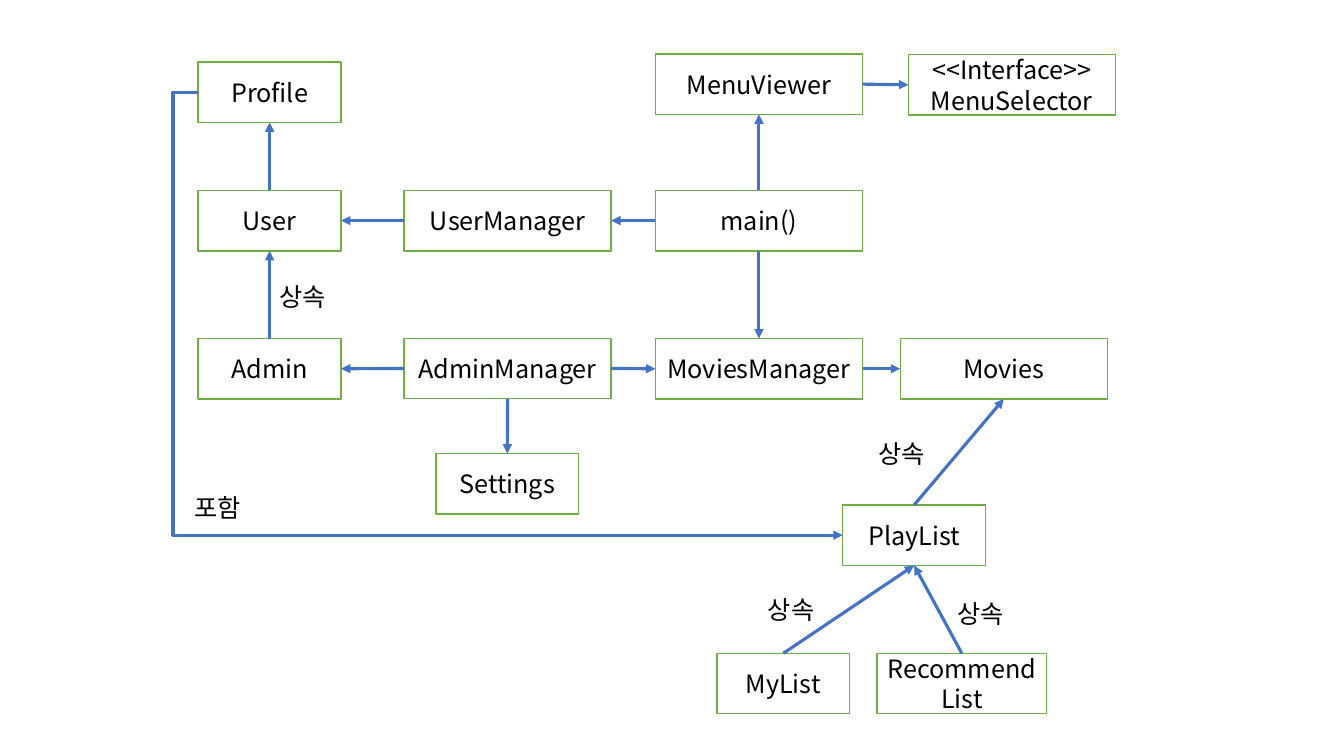
from dataclasses import dataclass

from pptx import Presentation
from pptx.dml.color import RGBColor as Color
from pptx.enum.shapes import MSO_CONNECTOR as Wire, MSO_SHAPE as Form
from pptx.enum.text import MSO_ANCHOR as Anchor, MSO_AUTO_SIZE as Fit, PP_ALIGN as Align
from pptx.oxml.ns import qn
from pptx.oxml.xmlchemy import OxmlElement as Node
from pptx.shapes.autoshape import Shape
from pptx.slide import Slide
from pptx.text.text import TextFrame
from pptx.util import Pt


@dataclass(frozen=True)
class Theme:
    font: str = "Noto Sans CJK KR"
    size: float = 18
    ink: Color = Color(0, 0, 0)
    fill: Color = Color(255, 255, 255)
    edge: Color = Color(0x70, 0xAD, 0x47)
    link: Color = Color(0x44, 0x72, 0xC4)
    thin: float = 1
    thick: float = 2.25


@dataclass(frozen=True)
class Box:
    name: str
    left: float
    top: float
    width: float
    lines: tuple[str, ...] = ()


@dataclass(frozen=True)
class Link:
    start: str
    out: int
    end: str
    into: int
    bend: int | None = None


@dataclass(frozen=True)
class Label:
    text: str
    left: float
    top: float


THEME = Theme()
TALL = 43.2
SLIM, WIDE = 102, 148
COL_A, COL_B, COL_C, COL_D = 141.6, 288.6, 468.1, 643
ROW_A, ROW_B, ROW_C, ROW_D = 38.5, 136, 241.8, 466.7
TOP, LEFT, FOOT, RIGHT = range(4)
SITES = ((0.5, 0), (0, 0.5), (0.5, 1), (1, 0.5))
CHILD, HOLDS = "상속", "포함"

BOXES = (
    Box("Profile", COL_A, 44.3, SLIM),
    Box("User", COL_A, ROW_B, SLIM),
    Box("Admin", COL_A, ROW_C, SLIM),
    Box("UserManager", COL_B, ROW_B, WIDE),
    Box("AdminManager", COL_B, ROW_C - 0.2, WIDE),
    Box("Settings", 311.4, 324, SLIM),
    Box("MenuViewer", COL_C, ROW_A, WIDE),
    Box("main()", COL_C, ROW_B, WIDE),
    Box("MoviesManager", COL_C, ROW_C, WIDE),
    Box("MenuSelector", 648.8, ROW_A + 0.5, WIDE, ("<<Interface>>", "MenuSelector")),
    Box("Movies", COL_D, ROW_C, WIDE),
    Box("PlayList", 602, 360.7, SLIM),
    Box("MyList", 512.2, ROW_D, 94.5),
    Box("RecommendList", 626.4, ROW_D, 121.3),
)

LINKS = (
    Link("User", TOP, "Profile", FOOT),
    Link("Admin", TOP, "User", FOOT),
    Link("UserManager", LEFT, "User", RIGHT),
    Link("main()", LEFT, "UserManager", RIGHT),
    Link("main()", TOP, "MenuViewer", FOOT),
    Link("main()", FOOT, "MoviesManager", TOP),
    Link("MenuViewer", RIGHT, "MenuSelector", LEFT),
    Link("AdminManager", LEFT, "Admin", RIGHT),
    Link("AdminManager", RIGHT, "MoviesManager", LEFT),
    Link("AdminManager", FOOT, "Settings", TOP),
    Link("MoviesManager", RIGHT, "Movies", LEFT),
    Link("PlayList", TOP, "Movies", FOOT),
    Link("MyList", TOP, "PlayList", FOOT),
    Link("RecommendList", TOP, "PlayList", FOOT),
    Link("Profile", LEFT, "PlayList", LEFT, bend=-3900),
)

LABELS = (
    Label(CHILD, 192.6, 197.3),
    Label(CHILD, 620.3, 309.8),
    Label(CHILD, 541.4, 421),
    Label(CHILD, 677, 423.8),
    Label(HOLDS, 131.8, 348),
)


def write(frame: TextFrame, lines: tuple[str, ...], align: Align) -> None:
    for i, line in enumerate(lines):
        para = frame.add_paragraph() if i else frame.paragraphs[0]
        para.alignment = align
        run = para.add_run()
        run.text = line
        run.font.name = THEME.font
        run.font.size = Pt(THEME.size)
        run.font.color.rgb = THEME.ink
        east = Node("a:ea")
        east.set("typeface", THEME.font)
        run.font._element.find(qn("a:latin")).addnext(east)


def draw_box(slide: Slide, box: Box) -> Shape:
    shape = slide.shapes.add_shape(
        Form.RECTANGLE, Pt(box.left), Pt(box.top), Pt(box.width), Pt(TALL))
    shape.shadow.inherit = False
    shape.fill.solid()
    shape.fill.fore_color.rgb = THEME.fill
    shape.line.color.rgb = THEME.edge
    shape.line.width = Pt(THEME.thin)
    shape.text_frame.vertical_anchor = Anchor.MIDDLE
    write(shape.text_frame, box.lines or (box.name,), Align.CENTER)
    return shape


def site(shape: Shape, side: int) -> tuple[int, int]:
    across, down = SITES[side]
    return (int(shape.left + across * shape.width),
            int(shape.top + down * shape.height))


def draw_link(slide: Slide, link: Link, shapes: dict[str, Shape]) -> None:
    kind = Wire.STRAIGHT if link.bend is None else Wire.ELBOW
    start, end = shapes[link.start], shapes[link.end]
    wire = slide.shapes.add_connector(kind, *site(start, link.out), *site(end, link.into))
    wire.begin_connect(start, link.out)
    wire.end_connect(end, link.into)
    wire.line.color.rgb = THEME.link
    wire.line.width = Pt(THEME.thick)
    head = Node("a:tailEnd")
    head.set("type", "triangle")
    wire.line._get_or_add_ln().append(head)
    props = wire._element.spPr
    props.append(Node("a:effectLst"))
    if link.bend is not None:
        guide = Node("a:gd")
        guide.set("name", "adj1")
        guide.set("fmla", f"val {link.bend}")
        props.find(qn("a:prstGeom")).get_or_add_avLst().append(guide)


def draw_label(slide: Slide, label: Label) -> None:
    text = slide.shapes.add_textbox(Pt(label.left), Pt(label.top), Pt(51), Pt(29))
    text.text_frame.word_wrap = False
    text.text_frame.auto_size = Fit.SHAPE_TO_FIT_TEXT
    write(text.text_frame, (label.text,), Align.LEFT)


def main() -> None:
    deck = Presentation()
    deck.slide_width, deck.slide_height = Pt(960), Pt(540)
    slide = deck.slides.add_slide(deck.slide_layouts[6])
    shapes = {box.name: draw_box(slide, box) for box in BOXES}
    for link in LINKS:
        draw_link(slide, link, shapes)
    for label in LABELS:
        draw_label(slide, label)
    deck.save("out.pptx")


main()
